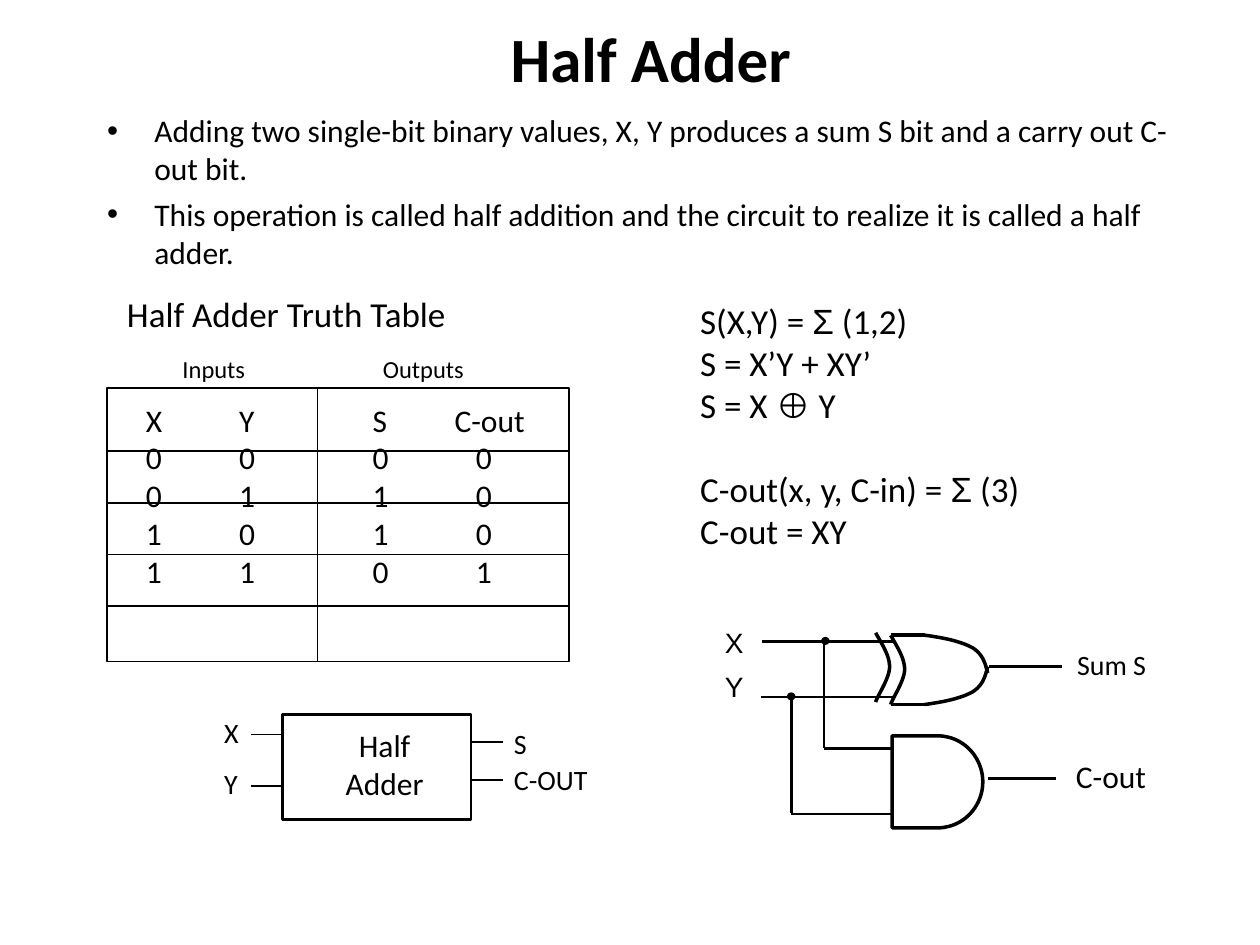
from itertools import groupby

from lxml.etree import SubElement
from pptx import Presentation
from pptx.dml.color import RGBColor
from pptx.enum.shapes import MSO_CONNECTOR, MSO_SHAPE
from pptx.enum.text import MSO_ANCHOR, MSO_AUTO_SIZE, PP_ALIGN
from pptx.oxml.ns import qn
from pptx.util import Pt

BLACK = "000000"
SYMBOLS = "Σ⊕"


def color(value):
    """Turn a hex string into a colour."""
    return RGBColor.from_string(value)


def apply_format(target, values):
    """Set each attribute named in values on the target."""
    for name, value in values.items():
        setattr(target, name, value)


def write_lines(frame, lines, size, font="Calibri", bold=False, **paragraph_format):
    """Write one paragraph per line, with mathematical symbols in Arial."""
    for index, line in enumerate(lines):
        paragraph = frame.paragraphs[0] if index == 0 else frame.add_paragraph()
        apply_format(paragraph, paragraph_format)
        if index == 0:
            paragraph.space_before = Pt(0)
        for is_symbol, letters in groupby(line, lambda letter: letter in SYMBOLS):
            span = paragraph.add_run()
            span.text = "".join(letters)
            apply_format(span.font, {"size": Pt(size), "bold": bold,
                                     "name": "Arial" if is_symbol else font})
            span.font.color.rgb = color(BLACK)


def add_text(page, left, top, width, height, lines, size, wrap=False, **formats):
    """Add a text box and return its text frame."""
    box = page.shapes.add_textbox(Pt(left), Pt(top), Pt(width), Pt(height))
    apply_format(box.text_frame, {"word_wrap": wrap,
                                  "auto_size": MSO_AUTO_SIZE.SHAPE_TO_FIT_TEXT})
    write_lines(box.text_frame, lines, size, **formats)
    return box.text_frame


def set_indent(paragraph, left, first=0):
    """Set the left margin and first-line indent of a paragraph."""
    properties = paragraph._p.get_or_add_pPr()
    properties.set("marL", str(Pt(left)))
    properties.set("indent", str(Pt(first)))


def add_line(page, x1, y1, x2, y2, weight=1.0):
    """Add a straight black line without a shadow."""
    line = page.shapes.add_connector(MSO_CONNECTOR.STRAIGHT, Pt(x1), Pt(y1), Pt(x2), Pt(y2))
    line.line.color.rgb = color(BLACK)
    line.line.width = Pt(weight)
    SubElement(line._element.spPr, qn("a:effectLst"))


def outline(shape, weight, fill=None):
    """Give a shape a black outline and an optional fill."""
    shape.shadow.inherit = False
    shape.line.color.rgb = color(BLACK)
    shape.line.width = Pt(weight)
    if fill:
        shape.fill.solid()
        shape.fill.fore_color.rgb = color(fill)
    else:
        shape.fill.background()


def add_preset(page, kind, left, top, width, height, weight, fill=None):
    """Add an outlined preset shape."""
    shape = page.shapes.add_shape(kind, Pt(left), Pt(top), Pt(width), Pt(height))
    outline(shape, weight, fill)


def bezier(start, first, second, end, steps=12):
    """Return points along a cubic curve, leaving out its start."""
    points = []
    for step in range(1, steps + 1):
        t = step / steps
        weights = ((1 - t) ** 3, 3 * t * (1 - t) ** 2, 3 * t * t * (1 - t), t ** 3)
        points.append(tuple(sum(weight * point[axis] for weight, point
                                in zip(weights, (start, first, second, end)))
                            for axis in (0, 1)))
    return points


def add_curve(page, left, top, knots, flip=1):
    """Draw an open chain of two cubic curves, upside down if flip is -1."""
    points = [knots[0]] + bezier(*knots[:4]) + bezier(*knots[3:])
    placed = [(Pt(left + x), Pt(top + flip * y)) for x, y in points]
    builder = page.shapes.build_freeform(*placed[0])
    builder.add_line_segments(placed[1:], close=False)
    outline(builder.convert_to_shape(), 2)


def fill_placeholder(box, left, top, width, height, lines, size, **formats):
    """Place a template placeholder and write its text."""
    apply_format(box, {"left": Pt(left), "top": Pt(top),
                       "width": Pt(width), "height": Pt(height)})
    box.text_frame.auto_size = MSO_AUTO_SIZE.NONE
    write_lines(box.text_frame, lines, size, **formats)


def add_heading(page):
    """Fill the title and the bulleted introduction."""
    title, body = page.placeholders
    fill_placeholder(title, 54, 18, 635.76, 30, ["Half Adder"], 36, bold=True,
                     alignment=PP_ALIGN.CENTER)
    title.text_frame.vertical_anchor = MSO_ANCHOR.MIDDLE
    fill_placeholder(body, 54, 60, 630, 120, [
        "Adding two single-bit binary values, X, Y produces a sum S bit and a carry out C-out bit.",
        "This operation is called half addition and the circuit to realize it is called a half adder.",
    ], 18, space_before=Pt(4.5))
    for paragraph in body.text_frame.paragraphs:
        set_indent(paragraph, 27, -27)


def add_truth_table(page, left, top, width, height):
    """Draw the truth table with its captions above the grid."""
    columns = [(15.1, 24, "X0011"), (68.4, 23, "Y0101"), (144.7, 23, "S0110")]
    for x, column_width, letters in columns:
        add_text(page, left + x, top + 3.6, column_width, 115, letters, 18)
    carry = add_text(page, left + 191.5, top + 3.6, 64, 115, ["C-out", *"0001"], 18, wrap=True)
    for paragraph in carry.paragraphs[1:]:
        set_indent(paragraph, 12.2)
    add_preset(page, MSO_SHAPE.RECTANGLE, left, top, width, height, 1)
    for row in range(4):
        y = top + 36 + 29.5 * row
        add_line(page, left, y, left + width, y)
    add_line(page, left + 120.2, top, left + 120.2, top + height)
    captions = [(4.3, -58.3, 199.4, 32, "Half Adder Truth Table", 20),
                (36, -23, 50.4, 24.5, "Inputs", 14), (150.5, -23, 60.5, 24.5, "Outputs", 14)]
    for x, y, caption_width, caption_height, caption, size in captions:
        add_text(page, left + x, top + y, caption_width, caption_height, [caption], size)


def add_equations(page, left, top, width, height):
    """Write the sum and carry equations as two spaced groups."""
    frame = add_text(page, left, top, width, height, [
        "S(X,Y) = Σ (1,2)", "S = X’Y + XY’", "S = X ⊕ Y",
        "C-out(x, y, C-in) = Σ (3)", "C-out = XY"], 20)
    for paragraph in frame.paragraphs:
        set_indent(paragraph, 36)
    frame.paragraphs[3].space_before = Pt(24)


def add_adder_block(page, left, top, width, height):
    """Draw the half adder block with its labelled pins."""
    add_preset(page, MSO_SHAPE.RECTANGLE, left, top, width, height, 1.5)
    add_text(page, left + 29, top + 3, 59, 50.4, ["Half", "Adder"], 18,
             alignment=PP_ALIGN.CENTER)
    pins = [(-18, 11.5, -40.3, -3, 22.3, "X"), (-18, 41, -40.3, 26.5, 22.3, "Y"),
            (width, 16, 125.3, 3.6, 21.6, "S"), (width, 37.5, 125.3, 24, 56.2, "C-OUT")]
    for x, y, label_x, label_y, label_width, label in pins:
        add_line(page, left + x, top + y, left + x + 18, top + y)
        add_text(page, left + label_x, top + label_y, label_width, 26.6, [label], 16)


def add_xor_gate(page, left, top, height):
    """Draw the exclusive-or gate from its curves and edges."""
    back = [(0, 0), (3.6, 6.5), (8, 13), (8, 19.5), (8, 26), (1, 36), (0, height)]
    nose = [(0, 0), (10.8, 1.4), (20.9, 3.6), (27.4, 7.2), (33.1, 10.8), (34.6, 15.8), (36, 21.6)]
    add_curve(page, left, top, back)
    add_curve(page, left - 8.6, top - 1.4, back)
    for y, flip in ((top, 1), (top + height, -1)):
        add_line(page, left, y, left + 19.4, y, 2)
        add_curve(page, left + 19.4, y, nose, flip)


def add_circuit(page, left, top):
    """Draw the gate circuit with its wires, junctions and labels."""
    wires = [(64.7, 12.5, 106.5, 12.5), (64.7, 44.2, 106.5, 44.2), (161.2, 27, 203, 27),
             (31.6, 12.5, 85.6, 12.5), (30.9, 44.2, 84.9, 44.2),
             (66.9, 73.7, 105.8, 73.7), (66.9, 111.1, 105.8, 111.1), (160.5, 91, 199.4, 91),
             (48.2, 111.1, 102.2, 111.1), (66.9, 13.2, 66.9, 73.7), (48.2, 44.2, 48.2, 110.4)]
    for x1, y1, x2, y2 in wires:
        add_line(page, left + x1, top + y1, left + x2, top + y2, 1.5)
    add_text(page, left, top, 28, 52, "XY", 16, wrap=True, font="Arial",
             alignment=PP_ALIGN.RIGHT, space_before=Pt(6))
    add_text(page, left + 204.4, top + 12.5, 70, 26.6, ["Sum S"], 16, wrap=True)
    add_text(page, left + 203.7, top + 75, 65, 29, ["C-out"], 18, wrap=True)
    add_xor_gate(page, left + 105, top + 9, 39.6)
    add_preset(page, MSO_SHAPE.FLOWCHART_DELAY, left + 105.8, top + 66.5, 51.8, 52.6, 2)
    for x, y in ((66.2, 11), (46.7, 42.7)):
        add_preset(page, MSO_SHAPE.OVAL, left + x, top + y, 2.8, 2.5, 2, BLACK)


def main():
    """Build the half adder slide and save it."""
    deck = Presentation()
    deck.slide_width, deck.slide_height = Pt(720), Pt(540)
    page = deck.slides.add_slide(deck.slide_layouts[1])
    add_heading(page)
    add_truth_table(page, 61.2, 221.8, 264.2, 156.2)
    add_equations(page, 357, 167.8, 233.3, 151.2)
    add_circuit(page, 404, 354)
    add_adder_block(page, 161.3, 408.2, 108, 60)
    deck.save("out.pptx")


if __name__ == "__main__":
    main()
